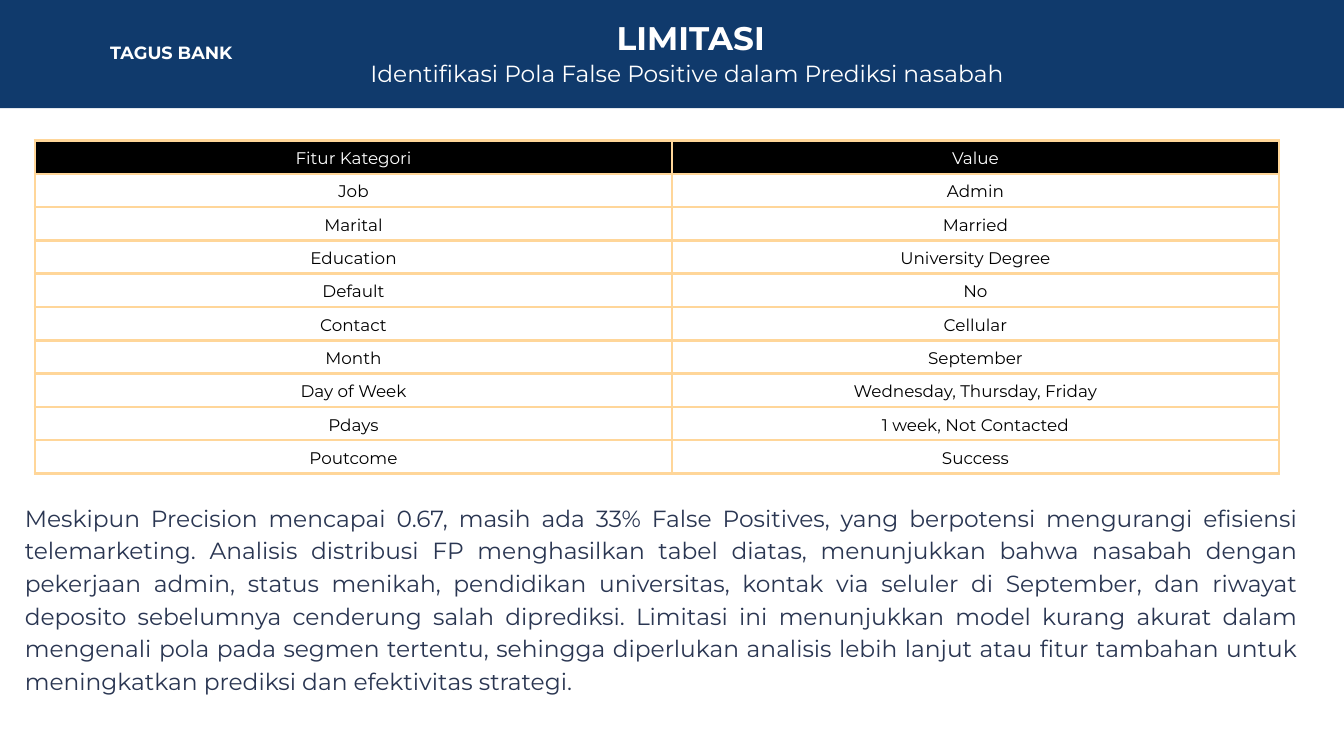
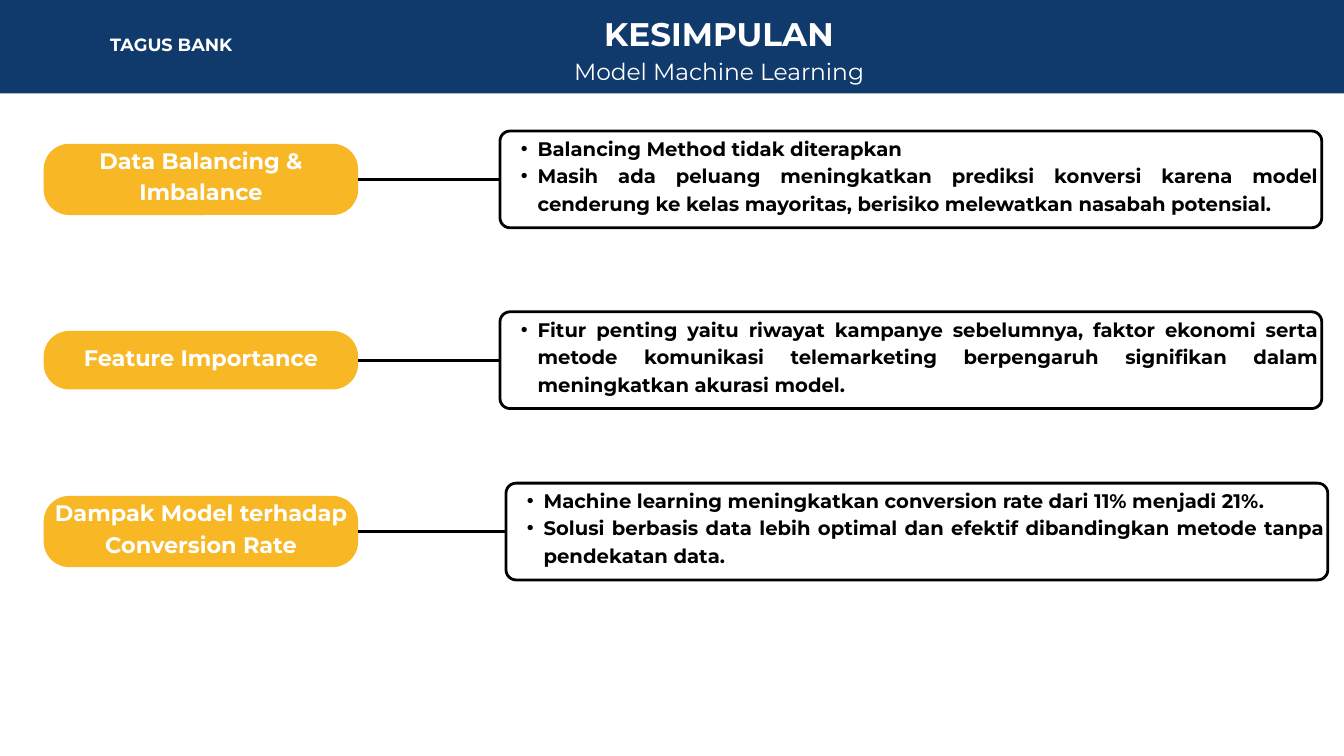
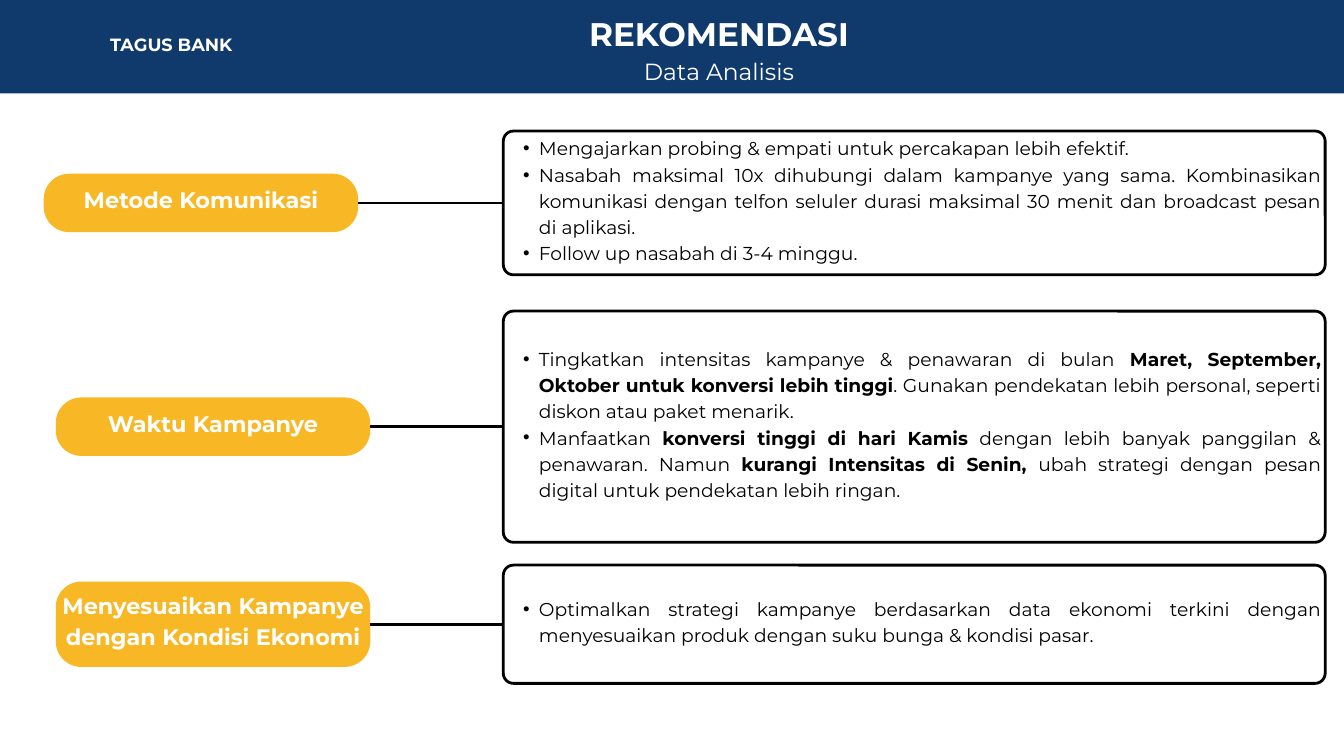
from lxml.etree import SubElement
from pptx import Presentation
from pptx.dml.color import RGBColor
from pptx.enum.shapes import MSO_CONNECTOR as LINK, MSO_SHAPE as SHAPE
from pptx.enum.text import MSO_ANCHOR as ANCHOR, PP_ALIGN as ALIGN
from pptx.oxml.ns import qn
from pptx.util import Inches, Pt

NAVY = RGBColor(0x10, 0x3A, 0x6C)
GOLD = RGBColor(0xF8, 0xB8, 0x26)
PEACH = RGBColor(0xFF, 0xD6, 0x99)
INK = RGBColor(0x2A, 0x36, 0x52)
BLACK = RGBColor(0, 0, 0)
WHITE = RGBColor(255, 255, 255)
FONT = "Montserrat"
WIDE, HIGH = 20, 11.25
PILL_W, BOX_W = 4.68, 12.23

FEATURES = [
    ("Fitur Kategori", "Value"),
    ("Job", "Admin"),
    ("Marital", "Married"),
    ("Education", "University Degree"),
    ("Default", "No"),
    ("Contact", "Cellular"),
    ("Month", "September"),
    ("Day of Week", "Wednesday, Thursday, Friday"),
    ("Pdays", "1 week, Not Contacted"),
    ("Poutcome", "Success"),
]
LIMITS = (
    "Meskipun Precision mencapai 0.67, masih ada 33% False Positives, yang "
    "berpotensi mengurangi efisiensi telemarketing. Analisis distribusi FP "
    "menghasilkan tabel diatas, menunjukkan bahwa nasabah dengan pekerjaan "
    "admin, status menikah, pendidikan universitas, kontak via seluler di "
    "September, dan riwayat deposito sebelumnya cenderung salah diprediksi. "
    "Limitasi ini menunjukkan model kurang akurat dalam mengenali pola pada "
    "segmen tertentu, sehingga diperlukan analisis lebih lanjut atau fitur "
    "tambahan untuk meningkatkan prediksi dan efektivitas strategi."
)

# Each row: middle, pill left, pill height, box left, box height, topic, points
FINDINGS = [
    (2.67, 0.65, 1.06, 7.44, 1.44, "Data Balancing & Imbalance", [
        "Balancing Method tidak diterapkan",
        "Masih ada peluang meningkatkan prediksi konversi karena model "
        "cenderung ke kelas mayoritas, berisiko melewatkan nasabah potensial."]),
    (5.36, 0.65, 0.87, 7.44, 1.44, "Feature Importance", [
        "Fitur penting yaitu riwayat kampanye sebelumnya, faktor ekonomi serta "
        "metode komunikasi telemarketing berpengaruh signifikan dalam "
        "meningkatkan akurasi model."]),
    (7.91, 0.65, 1.06, 7.53, 1.44, "Dampak Model terhadap Conversion Rate", [
        "Machine learning meningkatkan conversion rate dari 11% menjadi 21%.",
        "Solusi berbasis data lebih optimal dan efektif dibandingkan metode "
        "tanpa pendekatan data."]),
]
ADVICE = [
    (3.02, 0.65, 0.87, 7.49, 2.14, "Metode Komunikasi", [
        "Mengajarkan probing & empati untuk percakapan lebih efektif.",
        "Nasabah maksimal 10x dihubungi dalam kampanye yang sama. "
        "Kombinasikan komunikasi dengan telfon seluler durasi maksimal 30 "
        "menit dan broadcast pesan di aplikasi.",
        "Follow up nasabah di 3-4 minggu."]),
    (6.35, 0.83, 0.87, 7.49, 3.44, "Waktu Kampanye", [
        "Tingkatkan intensitas kampanye & penawaran di bulan **Maret, "
        "September, Oktober untuk konversi lebih tinggi**. Gunakan pendekatan "
        "lebih personal, seperti diskon atau paket menarik.",
        "Manfaatkan **konversi tinggi di hari Kamis** dengan lebih banyak "
        "panggilan & penawaran. Namun **kurangi Intensitas di Senin, **ubah "
        "strategi dengan pesan digital untuk pendekatan lebih ringan."]),
    (9.29, 0.83, 1.27, 7.49, 1.76, "Menyesuaikan Kampanye dengan Kondisi Ekonomi", [
        "Optimalkan strategi kampanye berdasarkan data ekonomi terkini dengan "
        "menyesuaikan produk dengan suku bunga & kondisi pasar."]),
]


def write(frame, *texts, size, color=BLACK, bold=False, align=ALIGN.CENTER,
          lead=1.4, indent=0):
    """Fill a frame, one paragraph a text; **marks** bold, indent adds bullets."""
    frame.word_wrap = True
    for i, text in enumerate(texts):
        para = frame.add_paragraph() if i else frame.paragraphs[0]
        para.alignment = align
        para.line_spacing = Pt(size * lead)
        if indent:
            props = para._p.get_or_add_pPr()
            props.set("marL", str(Inches(indent)))
            props.set("indent", str(-Inches(indent / 2)))
            SubElement(props, qn("a:buFont")).set("typeface", "Arial")
            SubElement(props, qn("a:buChar")).set("char", "•")
        for j, part in enumerate(text.split("**")):
            run = para.add_run()
            run.text = part
            font = run.font
            font.name, font.size = FONT, Pt(size)
            font.bold = bold or j % 2 == 1
            font.color.rgb = color


def pad(area, inset=0):
    area.margin_left = area.margin_right = Inches(inset)
    area.margin_top = area.margin_bottom = Inches(inset)


def label(slide, x, y, w, h, *texts, inset=0, anchor=ANCHOR.TOP, **style):
    frame = slide.shapes.add_textbox(*map(Inches, (x, y, w, h))).text_frame
    pad(frame, inset)
    frame.vertical_anchor = anchor
    write(frame, *texts, **style)


def panel(slide, kind, x, y, w, h, fill, line=None):
    shape = slide.shapes.add_shape(kind, *map(Inches, (x, y, w, h)))
    shape.shadow.inherit = False
    shape.fill.solid()
    shape.fill.fore_color.rgb = fill
    if line is None:
        shape.line.fill.background()
    else:
        shape.line.color.rgb, shape.line.width = line, Pt(3)
    return shape


def card(slide, x, y, w, h, radius, lift, texts, fill, line=None, **style):
    """Rounded panel with text over its full width, a little above its middle."""
    shape = panel(slide, SHAPE.ROUNDED_RECTANGLE, x, y, w, h, fill, line)
    shape.adjustments[0] = radius / min(w, h)
    label(slide, x, y - lift, w, h + lift, *texts, inset=0.06,
          anchor=ANCHOR.MIDDLE, **style)
    return shape


def header(slide, title, sub, h=1.39, title_at=(10.7, 0.2), sub_at=(10.7, 0.78)):
    """Band with bank name, title and subtitle; places are (middle, top)."""
    panel(slide, SHAPE.RECTANGLE, 0, 0, WIDE, h, NAVY)
    label(slide, 1.64, h / 2 - 0.19, 3.3, 0.31, "TAGUS BANK", size=19,
          color=WHITE, bold=True, align=ALIGN.LEFT, lead=1.2)
    for text, (mid, top), w, size, bold, lead in (
            (title, title_at, 17.07, 35, True, 1.2),
            (sub, sub_at, 16.45, 25, False, 1.4)):
        label(slide, mid - w / 2, top, w, size / 60, text, size=size,
              color=WHITE, bold=bold, lead=lead)


def edge(cell):
    props = cell._tc.get_or_add_tcPr()
    for side in ("lnL", "lnR", "lnT", "lnB"):
        line = SubElement(props, qn("a:" + side), w=str(Pt(3)))
        fill = SubElement(line, qn("a:solidFill"))
        SubElement(fill, qn("a:srgbClr"), val=str(PEACH))


def grid(slide, x, y, widths, h, rows):
    table = slide.shapes.add_table(
        len(rows), len(widths), *map(Inches, (x, y, sum(widths), h))).table
    table.first_row = table.horz_banding = False
    for col, w in zip(table.columns, widths):
        col.width = Inches(w)
    for r, row in enumerate(rows):
        for c, text in enumerate(row):
            cell = table.cell(r, c)
            edge(cell)
            pad(cell)
            cell.vertical_anchor = ANCHOR.MIDDLE
            if r:
                cell.fill.background()
            else:
                cell.fill.solid()
                cell.fill.fore_color.rgb = BLACK
            write(cell.text_frame, text, size=18, color=BLACK if r else WHITE)


def join(slide, start, end):
    link = slide.shapes.add_connector(LINK.STRAIGHT, 0, 0, 0, 0)
    link.begin_connect(start, 3)
    link.end_connect(end, 1)
    link.line.color.rgb, link.line.width = BLACK, Pt(3)
    SubElement(link._element.spPr, qn("a:effectLst"))


def topics(slide, rows, lift, **style):
    """Rows of a gold pill joined to a box of points."""
    for mid, pill_x, pill_h, box_x, box_h, topic, points in rows:
        pill = card(slide, pill_x, mid - pill_h / 2, PILL_W, pill_h, 0.38, 0.16,
                    [topic], GOLD, size=24, color=WHITE, bold=True)
        box = card(slide, box_x, mid - box_h / 2, BOX_W, box_h, 0.15, lift,
                   points, WHITE, BLACK, align=ALIGN.JUSTIFY, **style)
        join(slide, pill, box)


def main():
    deck = Presentation()
    deck.slide_width, deck.slide_height = Inches(WIDE), Inches(HIGH)
    limit, finish, advise = (
        deck.slides.add_slide(deck.slide_layouts[6]) for _ in range(3))

    header(limit, "LIMITASI",
           "Identifikasi Pola False Positive dalam Prediksi nasabah",
           h=1.61, title_at=(10.28, 0.26), sub_at=(10.22, 0.81))
    grid(limit, 0.52, 2.09, (9.48, 9.03), 4.96, FEATURES)
    label(limit, 0.37, 7.43, 18.93, 3.33, LIMITS, size=25, color=INK,
          align=ALIGN.JUSTIFY)

    header(finish, "KESIMPULAN", "Model Machine Learning")
    topics(finish, FINDINGS, 0.16, size=21, bold=True, indent=0.5)

    header(advise, "REKOMENDASI", "Data Analisis")
    topics(advise, ADVICE, 0.12, size=20, indent=0.47)

    deck.save("out.pptx")


if __name__ == "__main__":
    main()
